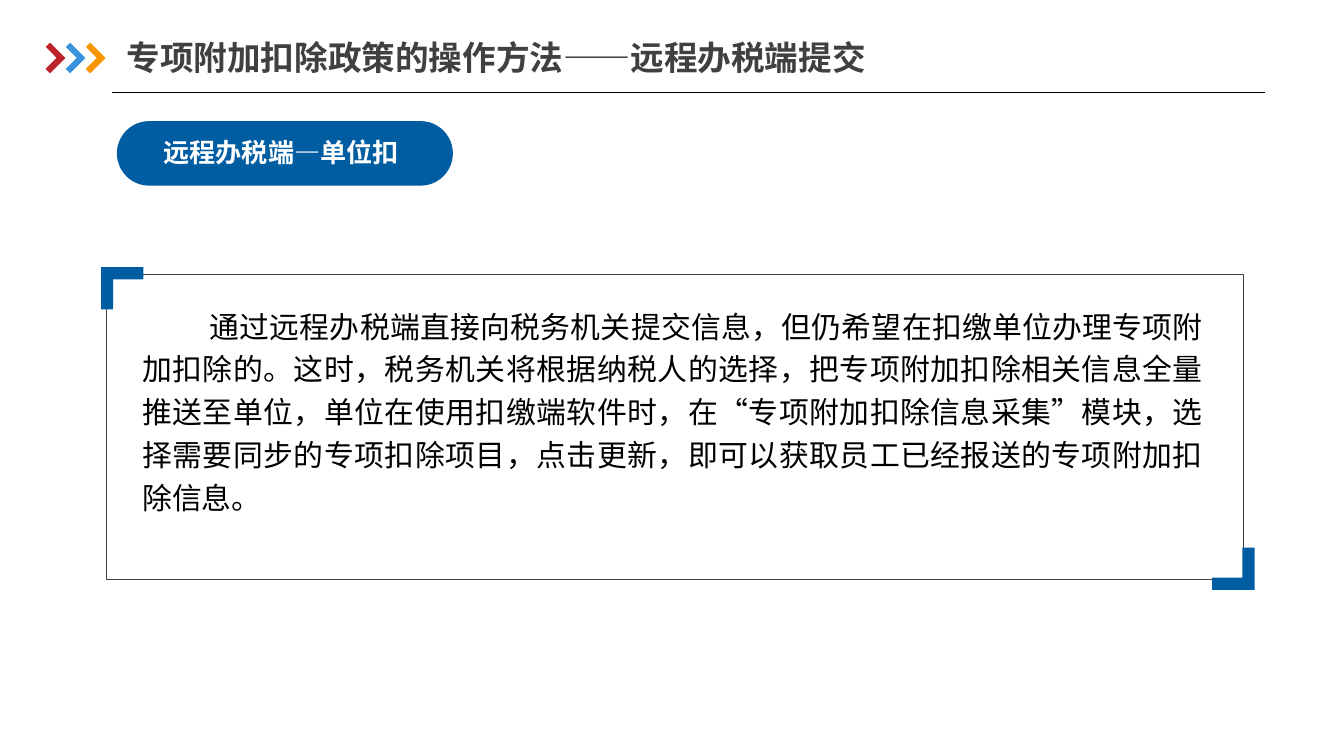
from dataclasses import dataclass

from lxml import etree
from pptx import Presentation
from pptx.dml.color import RGBColor
from pptx.enum.shapes import MSO_CONNECTOR, MSO_SHAPE
from pptx.enum.text import MSO_ANCHOR, MSO_AUTO_SIZE, PP_ALIGN
from pptx.oxml.ns import qn
from pptx.shapes.autoshape import Shape
from pptx.slide import Slide
from pptx.util import Cm, Pt

CORNER = MSO_SHAPE.CORNER
ROUNDED = MSO_SHAPE.ROUNDED_RECTANGLE
STRAIGHT = MSO_CONNECTOR.STRAIGHT
MIDDLE, TOP = MSO_ANCHOR.MIDDLE, MSO_ANCHOR.TOP
LEFT, CENTER, JUSTIFY = PP_ALIGN.LEFT, PP_ALIGN.CENTER, PP_ALIGN.JUSTIFY
NO_FIT, GROW = MSO_AUTO_SIZE.NONE, MSO_AUTO_SIZE.SHAPE_TO_FIT_TEXT

COLORS = {
    "red": "BC242A",
    "sky": "3992DB",
    "orange": "F79600",
    "blue": "005DA2",
    "gray": "404040",
    "black": "000000",
    "white": "FFFFFF",
}
CJK_FONT = "Noto Sans CJK SC"
TITLE = "专项附加扣除政策的操作方法——远程办税端提交"
BADGE = "远程办税端—单位扣"
EXPLANATION = (
    "通过远程办税端直接向税务机关提交信息，但仍希望在扣缴单位办理专项附加扣除的。"
    "这时，税务机关将根据纳税人的选择，把专项附加扣除相关信息全量推送至单位，"
    "单位在使用扣缴端软件时，在“专项附加扣除信息采集”模块，选择需要同步的专项扣除项目，"
    "点击更新，即可以获取员工已经报送的专项附加扣除信息。"
)


@dataclass(frozen=True)
class Box:
    left: float
    top: float
    width: float
    height: float


@dataclass(frozen=True)
class TextStyle:
    size: float
    color: str
    align: PP_ALIGN
    font: str = CJK_FONT
    bold: bool = False
    anchor: MSO_ANCHOR = MIDDLE
    fit: MSO_AUTO_SIZE = NO_FIT
    spacing: float = 1.0
    before: float = 0
    inset: float = 0


@dataclass(frozen=True)
class Bracket:
    left: float
    top: float
    rotation: float


def rgb(name: str) -> RGBColor:
    return RGBColor.from_string(COLORS[name])


def place(shape: Shape, box: Box) -> None:
    shape.left, shape.top = Cm(box.left), Cm(box.top)
    shape.width, shape.height = Cm(box.width), Cm(box.height)


def write(shape: Shape, text: str, style: TextStyle) -> None:
    frame = shape.text_frame
    frame.text = text
    frame.word_wrap = True
    frame.auto_size = style.fit
    frame.vertical_anchor = style.anchor
    frame.margin_left = frame.margin_right = 0
    frame.margin_top = frame.margin_bottom = Cm(style.inset)
    paragraph = frame.paragraphs[0]
    paragraph.alignment = style.align
    paragraph.line_spacing = style.spacing
    paragraph.space_before = Pt(style.before)
    run = paragraph.runs[0]
    run.font.size = Pt(style.size)
    run.font.bold = style.bold
    run.font.color.rgb = rgb(style.color)
    run.font.name = style.font
    etree.SubElement(run.font._element, qn("a:ea"), typeface=CJK_FONT)


def paint(shape: Shape, color: str) -> None:
    shape.shadow.inherit = False
    shape.fill.solid()
    shape.fill.fore_color.rgb = rgb(color)
    shape.line.fill.background()


def add_preset(slide: Slide, kind: MSO_SHAPE, box: Box, *adjustments: float) -> Shape:
    shape = slide.shapes.add_shape(
        kind, Cm(box.left), Cm(box.top), Cm(box.width), Cm(box.height)
    )
    for index, value in enumerate(adjustments):
        shape.adjustments[index] = value
    shape.shadow.inherit = False
    return shape


def add_bracket(slide: Slide, bracket: Bracket) -> None:
    arm, thick = 0.8, 0.23
    outline = [(0, 0), (arm, 0), (arm, thick), (thick, thick), (thick, arm), (0, arm)]
    points = [(Cm(bracket.left + x), Cm(bracket.top + y)) for x, y in outline]
    builder = slide.shapes.build_freeform(*points[0])
    builder.add_line_segments(points[1:], close=True)
    shape = builder.convert_to_shape()
    shape.rotation = bracket.rotation
    paint(shape, "blue")


def add_header(slide: Slide) -> None:
    title = slide.shapes.title
    place(title, Box(2.39, 0.56, 14.73, 1.04))
    write(title, TITLE, TextStyle(18, "gray", LEFT, bold=True, inset=0.13))

    for index, color in enumerate(("red", "sky", "orange")):
        chevron = add_preset(
            slide, CORNER, Box(0.74 + 0.38 * index, 0.89, 0.41, 0.41), 0.28, 0.29
        )
        chevron.rotation = 225
        paint(chevron, color)

    rule = slide.shapes.add_connector(STRAIGHT, Cm(2.11), Cm(1.75), Cm(23.9), Cm(1.75))
    rule.line.color.rgb = rgb("black")
    rule.line.width = Pt(0.75)
    etree.SubElement(rule._element.spPr, qn("a:effectLst"))


def add_badge(slide: Slide) -> None:
    paint(add_preset(slide, ROUNDED, Box(2.21, 2.29, 6.35, 1.22), 0.5), "blue")
    label = slide.shapes.add_textbox(Cm(1.55), Cm(2.49), Cm(7.54), Cm(0.86))
    write(label, BADGE, TextStyle(14, "white", CENTER, bold=True, spacing=0.9, before=10))


def add_explanation(slide: Slide) -> None:
    border = add_preset(slide, ROUNDED, Box(2.01, 5.18, 21.49, 5.77), 0)
    border.fill.background()
    border.line.color.rgb = rgb("gray")
    border.line.width = Pt(0.25)

    body = slide.placeholders[1]
    place(body, Box(2.69, 5.69, 20.07, 4.04))
    write(
        body,
        EXPLANATION,
        TextStyle(16, "black", JUSTIFY, font="Calibri", anchor=TOP, fit=GROW, spacing=1.2),
    )
    properties = body.text_frame.paragraphs[0]._p.get_or_add_pPr()
    properties.set("marL", "0")
    properties.set("indent", str(Cm(1.27)))
    etree.SubElement(properties, qn("a:buNone"))

    for bracket in (Bracket(1.91, 5.05, 0), Bracket(22.91, 10.35, 180)):
        add_bracket(slide, bracket)


def main() -> None:
    deck = Presentation()
    deck.slide_width, deck.slide_height = Cm(25.4), Cm(14.29)
    slide = deck.slides.add_slide(deck.slide_layouts[1])
    add_header(slide)
    add_badge(slide)
    add_explanation(slide)
    deck.save("out.pptx")


if __name__ == "__main__":
    main()
